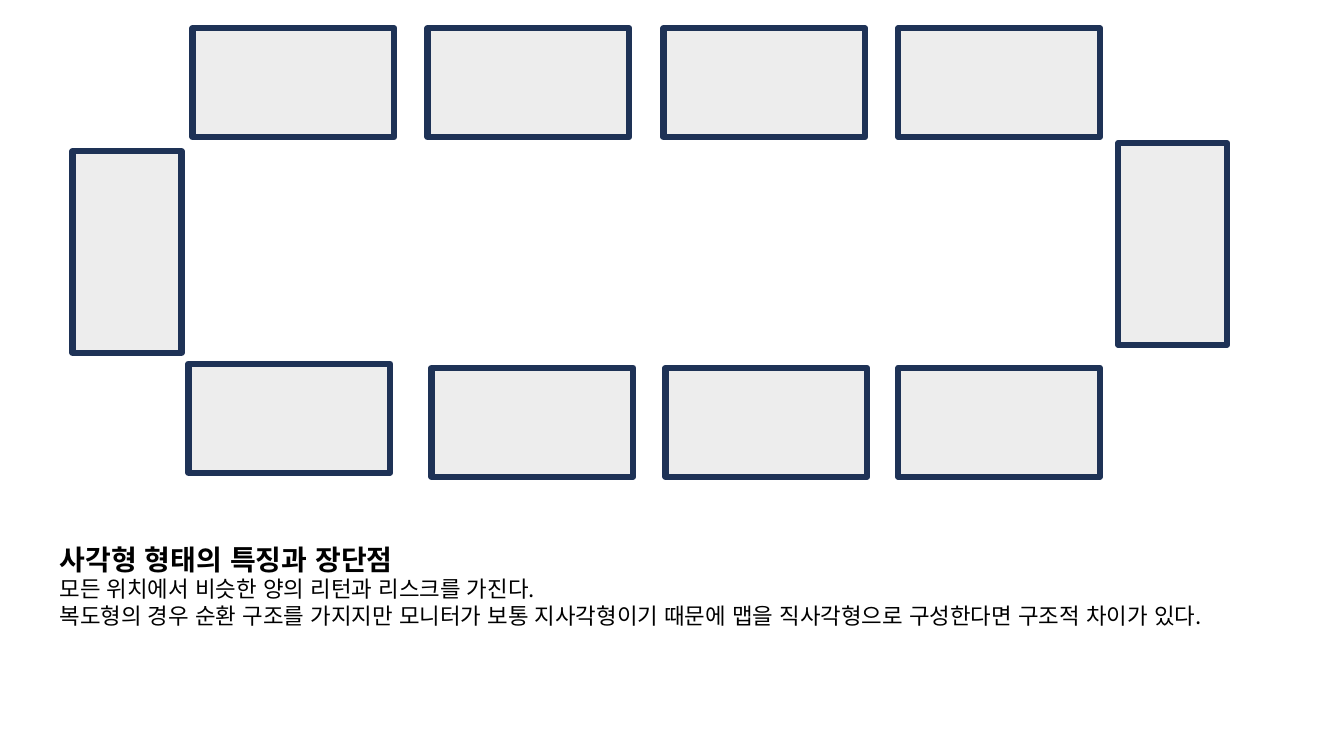
"""Build a slide of ten map blocks around a rectangle, with notes on the layout below."""
import dataclasses

import lxml.etree
import pptx
import pptx.dml.color
import pptx.enum.lang
import pptx.enum.shapes
import pptx.enum.text
import pptx.oxml.ns
import pptx.shapes.placeholder
import pptx.slide
import pptx.util

Inches = pptx.util.Inches
Pt = pptx.util.Pt
RGBColor = pptx.dml.color.RGBColor


@dataclasses.dataclass(frozen=True)
class Theme:
    font: str = "Noto Sans CJK KR"
    text: RGBColor = RGBColor(0x00, 0x00, 0x00)
    fill: RGBColor = RGBColor(0xED, 0xED, 0xED)
    border: RGBColor = RGBColor(0x1E, 0x32, 0x56)
    border_width: float = 4.5
    title_size: int = 20
    body_size: int = 16
    line_ratio: float = 1.2


@dataclasses.dataclass(frozen=True)
class Block:
    left: float
    top: float
    rotation: int = 0


@dataclasses.dataclass(frozen=True)
class Area:
    left: float
    top: float
    width: float
    height: float


THEME = Theme()
BLOCK_WIDTH, BLOCK_HEIGHT = 2, 1.08
TOP_ROW = [Block(left, 0.28) for left in (1.91, 4.24, 6.58, 8.91)]
BOTTOM_ROW = [Block(1.87, 3.61)] + [Block(left, 3.65) for left in (4.28, 6.6, 8.91)]
SIDES = [Block(0.26, 1.96, 90), Block(10.63, 1.88, 90)]
TITLE_AREA = Area(0.49, 5.38, 12.34, 0.33)
BODY_AREA = Area(0.49, 5.71, 12.34, 0.87)
TITLE = "사각형 형태의 특징과 장단점"
BODY = [
    "모든 위치에서 비슷한 양의 리턴과 리스크를 가진다.",
    "복도형의 경우 순환 구조를 가지지만 모니터가 보통 지사각형이기 때문에 "
    "맵을 직사각형으로 구성한다면 구조적 차이가 있다.",
]


def draw_block(page: pptx.slide.Slide, block: Block) -> None:
    shape = page.shapes.add_shape(
        pptx.enum.shapes.MSO_SHAPE.RECTANGLE,
        Inches(block.left), Inches(block.top), Inches(BLOCK_WIDTH), Inches(BLOCK_HEIGHT),
    )
    shape.rotation = block.rotation
    shape.shadow.inherit = False
    shape.fill.solid()
    shape.fill.fore_color.rgb = THEME.fill
    shape.line.color.rgb = THEME.border
    shape.line.width = Pt(THEME.border_width)


def write_text(
    box: pptx.shapes.placeholder.SlidePlaceholder,
    area: Area, lines: list[str], size: int, bold: bool,
) -> None:
    box.left, box.top = Inches(area.left), Inches(area.top)
    box.width, box.height = Inches(area.width), Inches(area.height)
    frame = box.text_frame
    frame.word_wrap = True
    frame.auto_size = pptx.enum.text.MSO_AUTO_SIZE.NONE
    frame.vertical_anchor = pptx.enum.text.MSO_ANCHOR.TOP
    frame.margin_left = frame.margin_right = Inches(0.1)
    frame.margin_top = frame.margin_bottom = 0
    for index, line in enumerate(lines):
        para = frame.add_paragraph() if index else frame.paragraphs[0]
        para.alignment = pptx.enum.text.PP_ALIGN.LEFT
        para.line_spacing = Pt(size * THEME.line_ratio)
        para.space_before = para.space_after = Pt(0)
        properties = para._p.get_or_add_pPr()
        properties.set("marL", "0")
        properties.set("indent", "0")
        lxml.etree.SubElement(properties, pptx.oxml.ns.qn("a:buNone"))
        span = para.add_run()
        span.text = line
        span.font.size = Pt(size)
        span.font.bold = bold
        span.font.color.rgb = THEME.text
        span.font.name = THEME.font
        span.font.language_id = pptx.enum.lang.MSO_LANGUAGE_ID.KOREAN
        east_asian = lxml.etree.SubElement(span.font._element, pptx.oxml.ns.qn("a:ea"))
        east_asian.set("typeface", THEME.font)


def main() -> None:
    deck = pptx.Presentation()
    deck.slide_width, deck.slide_height = Inches(13.33), Inches(7.5)
    page = deck.slides.add_slide(deck.slide_layouts.get_by_name("Title and Content"))
    write_text(page.shapes.title, TITLE_AREA, [TITLE], THEME.title_size, True)
    write_text(page.placeholders[1], BODY_AREA, BODY, THEME.body_size, False)
    for block in TOP_ROW + SIDES + BOTTOM_ROW:
        draw_block(page, block)
    deck.save("out.pptx")


main()
